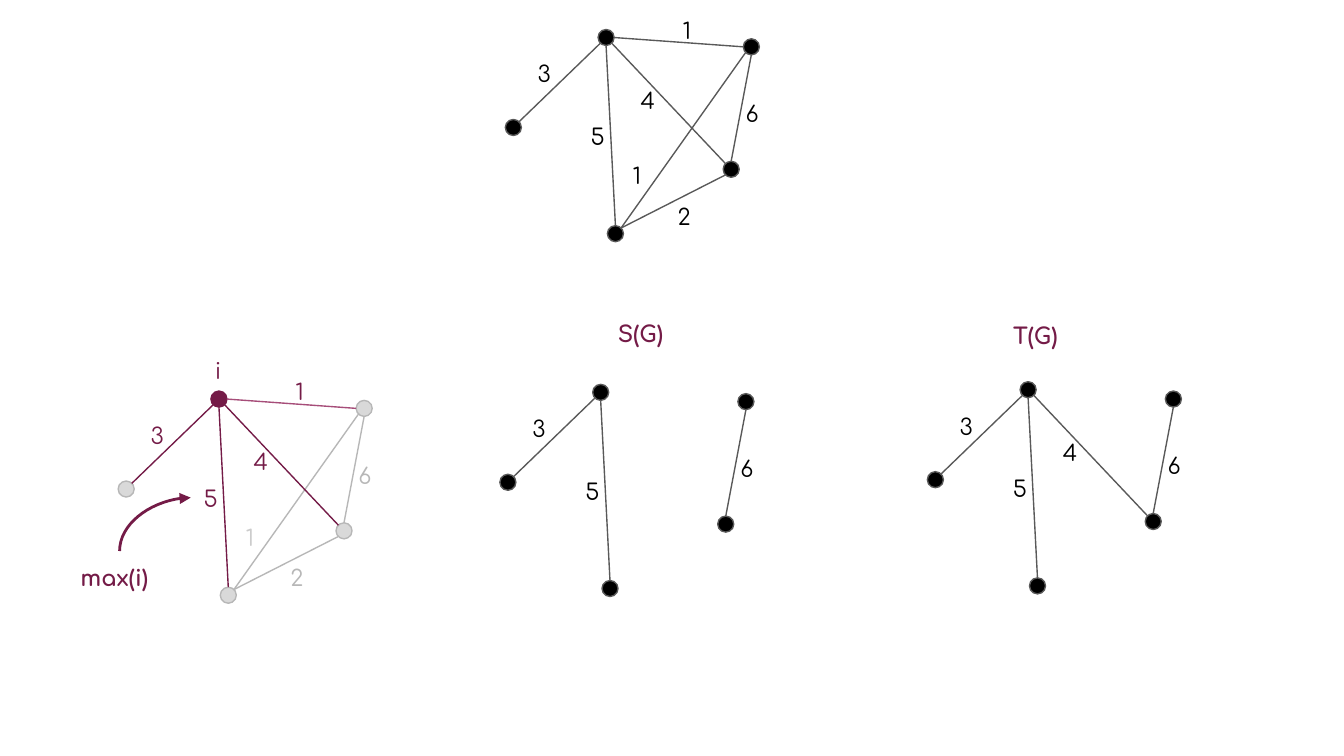
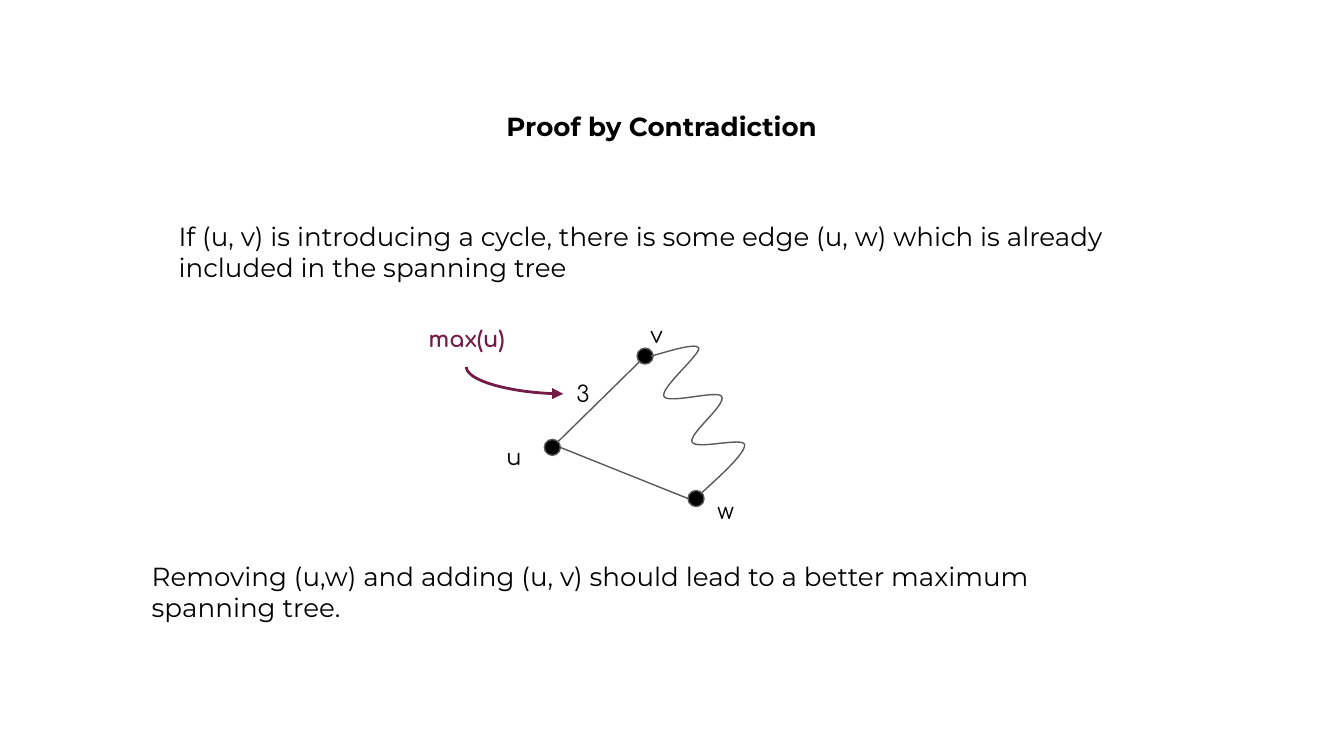
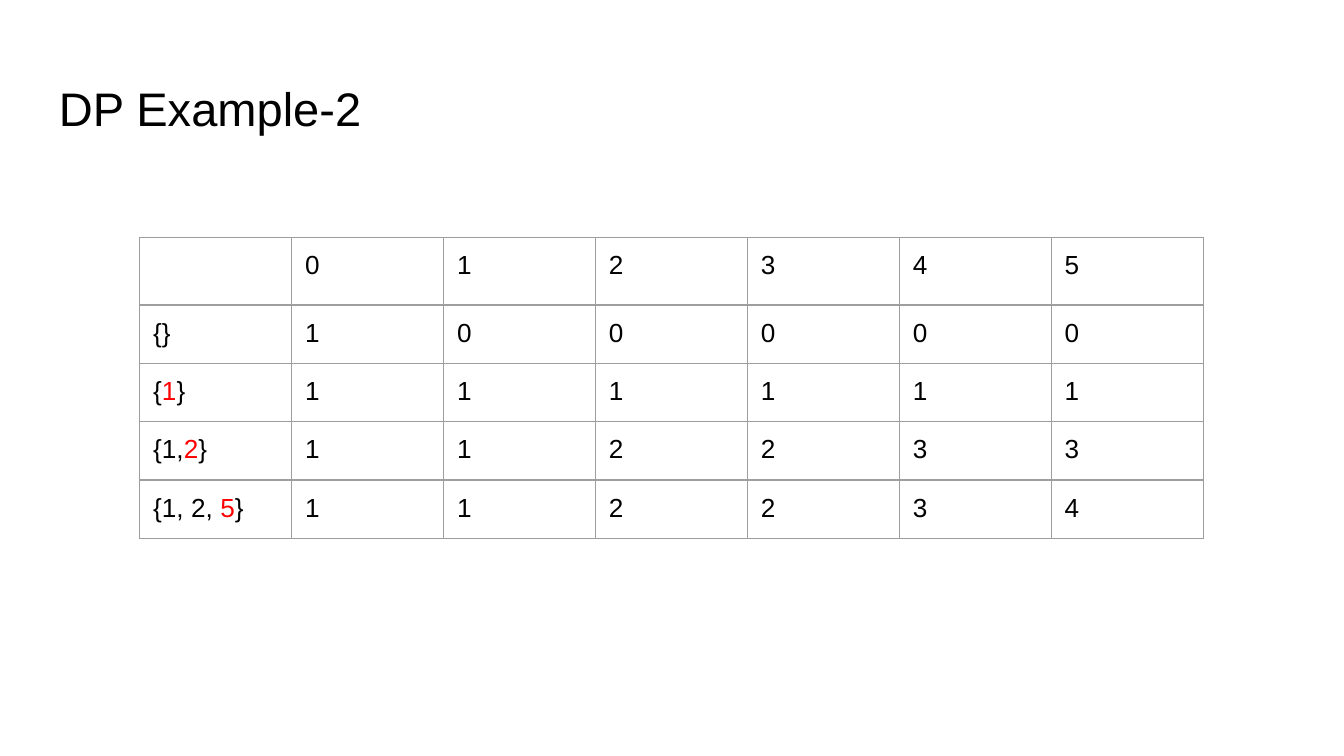
from dataclasses import dataclass, field
from typing import NamedTuple, Optional

from lxml import etree
from pptx import Presentation
from pptx.dml.color import RGBColor
from pptx.enum.shapes import MSO_CONNECTOR as Connector, MSO_SHAPE as Preset
from pptx.enum.text import MSO_AUTO_SIZE as AutoSize
from pptx.oxml.ns import qn
from pptx.shapes.connector import Connector as ConnectorShape
from pptx.slide import Slide
from pptx.text.text import TextFrame
from pptx.util import Pt


@dataclass(frozen=True)
class Theme:
    black: RGBColor = RGBColor(0x00, 0x00, 0x00)
    line: RGBColor = RGBColor(0x59, 0x59, 0x59)
    plum: RGBColor = RGBColor(0x74, 0x1B, 0x47)
    light_plum: RGBColor = RGBColor(0xA6, 0x4D, 0x79)
    muted_fill: RGBColor = RGBColor(0xD9, 0xD9, 0xD9)
    muted: RGBColor = RGBColor(0xB7, 0xB7, 0xB7)
    muted_label: RGBColor = RGBColor(0xCC, 0xCC, 0xCC)
    red: RGBColor = RGBColor(0xFF, 0x00, 0x00)
    grid: RGBColor = RGBColor(0x9E, 0x9E, 0x9E)
    label_font: str = "Comfortaa"
    body_font: str = "Montserrat"
    table_font: str = "Arial"
    label_size: float = 12
    body_size: float = 14
    title_size: float = 25.2
    thin: float = 0.75
    thick: float = 1.5


THEME = Theme()
INSET = 7.2
NODE_SIZE = 8.6
LABEL_WIDTH, WORD_WIDTH, LABEL_HEIGHT = 23.8, 55.5, 28.8


class Point(NamedTuple):
    x: float
    y: float

    def shifted(self, by: "Point") -> "Point":
        return Point(self.x + by.x, self.y + by.y)


class Edge(NamedTuple):
    start: str
    start_port: str
    end: str
    end_port: str
    weight: str
    label_at: Point


@dataclass(frozen=True)
class Graph:
    """Part of the sample graph; a hub, if named, is highlighted and the rest muted."""
    origin: Point
    edges: tuple[str, ...]
    hub: Optional[str] = None
    line_colors: dict[str, RGBColor] = field(default_factory=dict)
    label_colors: dict[str, RGBColor] = field(default_factory=dict)


# Share of the node's size, from its top left corner, at which a line meets it.
PORTS = {
    "top": Point(0.5, 0), "top left": Point(0.15, 0.15), "left": Point(0, 0.5),
    "bottom left": Point(0.15, 0.85), "bottom": Point(0.5, 1),
    "bottom right": Point(0.85, 0.85), "right": Point(1, 0.5),
    "top right": Point(0.85, 0.15),
}
NODES = {
    "apex": Point(0, 0), "right": Point(77.8, 5), "lower": Point(67, 70.6),
    "bottom": Point(5, 105.1), "left": Point(-49.7, 48.2),
}
EDGES = {
    "3": Edge("left", "top right", "apex", "bottom left", "3", Point(-39.4, 9.4)),
    "1": Edge("right", "left", "apex", "right", "1", Point(38.2, -14)),
    "5": Edge("bottom", "top", "apex", "bottom", "5", Point(-11, 43)),
    "2": Edge("bottom", "top right", "lower", "bottom left", "2", Point(35.5, 85.7)),
    "6": Edge("lower", "top", "right", "bottom", "6", Point(72, 30.8)),
    "cross": Edge("bottom", "top right", "right", "bottom left", "1", Point(11.5, 64)),
    "4": Edge("lower", "top left", "apex", "bottom right", "4", Point(15.8, 23.5)),
}
GRAPHS = (
    Graph(Point(320.4, 15.8), tuple(EDGES)),
    Graph(Point(113, 209.5), tuple(EDGES), hub="apex",
          line_colors={"1": THEME.light_plum},
          label_colors={"cross": THEME.muted_label}),
    Graph(Point(317.5, 205.9), ("3", "5", "6")),
    Graph(Point(546.5, 204.5), ("3", "5", "6", "4")),
)
CYCLE_NODES = {"v": Point(341.3, 186.5), "u": Point(291.6, 235.4), "w": Point(368.6, 262.8)}
# Start point, then two control points and an end point for each curve.
CYCLE_WAVE = (
    (348.5, 190.8),
    (352.8, 190.1), (373, 182.9), (374.4, 186.5),
    (375.1, 190.1), (353.5, 208.1), (355.7, 212.4),
    (357.8, 216.7), (384.5, 208.8), (386.6, 212.4),
    (389.5, 216.7), (368.6, 232.6), (370.8, 236.9),
    (373, 241.2), (398.2, 234), (398.9, 238.3),
    (399.6, 243.4), (380.2, 259.9), (375.8, 264.2),
)
# Text between asterisks is red.
COIN_ROWS = (
    ("", "0", "1", "2", "3", "4", "5"),
    ("{}", "1", "0", "0", "0", "0", "0"),
    ("{*1*}", "1", "1", "1", "1", "1", "1"),
    ("{1,*2*}", "1", "1", "2", "2", "3", "3"),
    ("{1, 2, *5*}", "1", "1", "2", "2", "3", "4"),
)


def write_text(frame: TextFrame, text: str, *, size: float, font: str,
               color: RGBColor = THEME.black, bold: bool = False) -> None:
    """Fill the frame, with the parts between asterisks in red."""
    paragraph = frame.paragraphs[0]
    for index, part in enumerate(text.split("*")):
        if part:
            run = paragraph.add_run()
            run.text = part
            run.font.size, run.font.name, run.font.bold = Pt(size), font, bold
            run.font.color.rgb = THEME.red if index % 2 else color


def add_text(slide: Slide, text: str, at: Point, width: float, height: float,
             **text_format) -> None:
    box = slide.shapes.add_textbox(Pt(at.x), Pt(at.y), Pt(width), Pt(height))
    frame = box.text_frame
    frame.word_wrap = True
    frame.auto_size = AutoSize.SHAPE_TO_FIT_TEXT
    frame.margin_left = frame.margin_right = Pt(INSET)
    frame.margin_top = frame.margin_bottom = Pt(INSET)
    write_text(frame, text, **text_format)


def add_label(slide: Slide, text: str, at: Point, color: RGBColor = THEME.black) -> None:
    add_text(slide, text, at, LABEL_WIDTH, LABEL_HEIGHT,
             size=THEME.label_size, font=THEME.label_font, color=color)


def add_caption(slide: Slide, text: str, at: Point) -> None:
    add_text(slide, text, at, WORD_WIDTH, LABEL_HEIGHT, size=THEME.label_size,
             font=THEME.label_font, color=THEME.plum, bold=True)


def add_node(slide: Slide, at: Point, fill: RGBColor = THEME.black,
             line: RGBColor = THEME.line) -> None:
    node = slide.shapes.add_shape(Preset.OVAL, Pt(at.x), Pt(at.y), Pt(NODE_SIZE), Pt(NODE_SIZE))
    node.shadow.inherit = False
    node.fill.solid()
    node.fill.fore_color.rgb = fill
    node.line.color.rgb = line
    node.line.width = Pt(THEME.thin)


def add_connector(slide: Slide, kind: Connector, start: Point, end: Point,
                  color: RGBColor, width: float) -> ConnectorShape:
    connector = slide.shapes.add_connector(
        kind, Pt(start.x), Pt(start.y), Pt(end.x), Pt(end.y))
    connector.line.color.rgb = color
    connector.line.width = Pt(width)
    etree.SubElement(connector.element.spPr, qn("a:effectLst"))
    return connector


def port(node: Point, name: str) -> Point:
    share = PORTS[name]
    return node.shifted(Point(share.x * NODE_SIZE, share.y * NODE_SIZE))


def add_edge(slide: Slide, start: Point, end: Point, color: RGBColor = THEME.line) -> None:
    add_connector(slide, Connector.STRAIGHT, start, end, color, THEME.thin)


def add_curved_arrow(slide: Slide, start: Point, end: Point) -> None:
    """Draw an arrow that leaves vertically and arrives horizontally."""
    half_rise, half_run = (start.y - end.y) / 2, (end.x - start.x) / 2
    center = Point((start.x + end.x) / 2, (start.y + end.y) / 2)
    arrow = add_connector(
        slide, Connector.CURVE, center.shifted(Point(-half_rise, -half_run)),
        center.shifted(Point(half_rise, half_run)), THEME.plum, THEME.thick)
    properties = arrow.element.spPr
    properties.find(qn("a:xfrm")).set("rot", str(270 * 60000))
    properties.find(qn("a:prstGeom")).set("prst", "curvedConnector2")
    etree.SubElement(properties.find(qn("a:ln")), qn("a:tailEnd"), type="triangle")


def add_wave(slide: Slide, points: tuple[tuple[float, float], ...]) -> None:
    start, *others = [(Pt(x), Pt(y)) for x, y in points]
    builder = slide.shapes.build_freeform(*start)
    builder.add_line_segments(others, close=False)
    wave = builder.convert_to_shape()
    wave.shadow.inherit = False
    wave.fill.background()
    wave.line.color.rgb = THEME.line
    wave.line.width = Pt(THEME.thin)
    outline = wave.element.find(".//" + qn("a:path"))
    segments = outline.findall(qn("a:lnTo"))
    for first in range(0, len(segments), 3):
        curve = etree.SubElement(outline, qn("a:cubicBezTo"))
        for segment in segments[first:first + 3]:
            curve.append(segment[0])
            outline.remove(segment)


def draw_graph(slide: Slide, graph: Graph) -> None:
    nodes = {name: at.shifted(graph.origin) for name, at in NODES.items()}
    for name, at in nodes.items():
        if graph.hub is None:
            add_node(slide, at)
        elif name == graph.hub:
            add_node(slide, at, THEME.plum, THEME.plum)
        else:
            add_node(slide, at, THEME.muted_fill, THEME.muted)
    for name in graph.edges:
        edge = EDGES[name]
        if graph.hub is None:
            line, label = THEME.line, THEME.black
        else:
            line = label = THEME.plum if graph.hub in (edge.start, edge.end) else THEME.muted
        add_edge(slide, port(nodes[edge.start], edge.start_port),
                 port(nodes[edge.end], edge.end_port), graph.line_colors.get(name, line))
        add_label(slide, edge.weight, edge.label_at.shifted(graph.origin),
                  graph.label_colors.get(name, label))


def build_graphs_slide(slide: Slide) -> None:
    for graph in GRAPHS:
        draw_graph(slide, graph)
    add_label(slide, "i", Point(108, 184.3), THEME.plum)
    add_caption(slide, "max(i)", Point(36, 295.2))
    add_caption(slide, "S(G)", Point(324, 164.2))
    add_caption(slide, "T(G)", Point(535.7, 165.6))
    add_curved_arrow(slide, Point(64.1, 295.2), Point(102.2, 266.6))


def build_proof_slide(slide: Slide) -> None:
    body = {"size": THEME.body_size, "font": THEME.body_font}
    add_text(slide, "Proof by Contradiction", Point(264.2, 51.8), 191.5, 31.7, bold=True, **body)
    add_text(slide, "If (u, v) is introducing a cycle, there is some edge (u, w) which is "
             "already included in the spanning tree", Point(88.6, 110.9), 542.2, 48.2, **body)
    add_text(slide, "Removing (u,w) and adding (u, v) should lead to a better maximum "
             "spanning tree.", Point(74.2, 293), 542.2, 65.5, **body)

    u, v, w = (CYCLE_NODES[name] for name in "uvw")
    for node in (u, v, w):
        add_node(slide, node)
    add_edge(slide, port(u, "top right"), port(v, "bottom left"))
    add_edge(slide, port(u, "right"), port(w, "left"))
    add_wave(slide, CYCLE_WAVE)
    for text, at in (("3", Point(301.7, 196.6)), ("u", Point(264.2, 230.4)),
                     ("v", Point(341.3, 164.9)), ("w", Point(377.3, 259.2))):
        add_label(slide, text, at)
    add_caption(slide, "max(u)", Point(222.5, 167))
    add_curved_arrow(slide, Point(249.8, 196.6), Point(301.7, 211))


def add_coin_table(slide: Slide, at: Point, column_width: float, row_height: float) -> None:
    row_count, column_count = len(COIN_ROWS), len(COIN_ROWS[0])
    table = slide.shapes.add_table(
        row_count, column_count, Pt(at.x), Pt(at.y),
        Pt(column_width * column_count), Pt(row_height * row_count)).table
    table.first_row = table.horz_banding = False
    for row, texts in enumerate(COIN_ROWS):
        for column, text in enumerate(texts):
            cell = table.cell(row, column)
            cell.margin_left = cell.margin_right = Pt(INSET)
            cell.margin_top = cell.margin_bottom = Pt(INSET)
            properties = cell._tc.get_or_add_tcPr()
            for side in ("a:lnL", "a:lnR", "a:lnT", "a:lnB"):
                border = etree.SubElement(properties, qn(side), w=str(Pt(THEME.thin)))
                fill = etree.SubElement(border, qn("a:solidFill"))
                etree.SubElement(fill, qn("a:srgbClr"), val=str(THEME.grid))
            cell.fill.background()
            write_text(cell.text_frame, text, size=THEME.body_size, font=THEME.table_font)


def build_table_slide(slide: Slide) -> None:
    add_text(slide, "DP Example-2", Point(24.5, 35.3), 671, 45.4,
             size=THEME.title_size, font=THEME.table_font)
    add_coin_table(slide, Point(74.9, 127.4), column_width=81.4, row_height=30.2)


def main() -> None:
    presentation = Presentation()
    presentation.slide_width, presentation.slide_height = Pt(720), Pt(405)
    blank = presentation.slide_layouts[6]
    for build in (build_graphs_slide, build_proof_slide, build_table_slide):
        build(presentation.slides.add_slide(blank))
    presentation.save("out.pptx")


if __name__ == "__main__":
    main()
